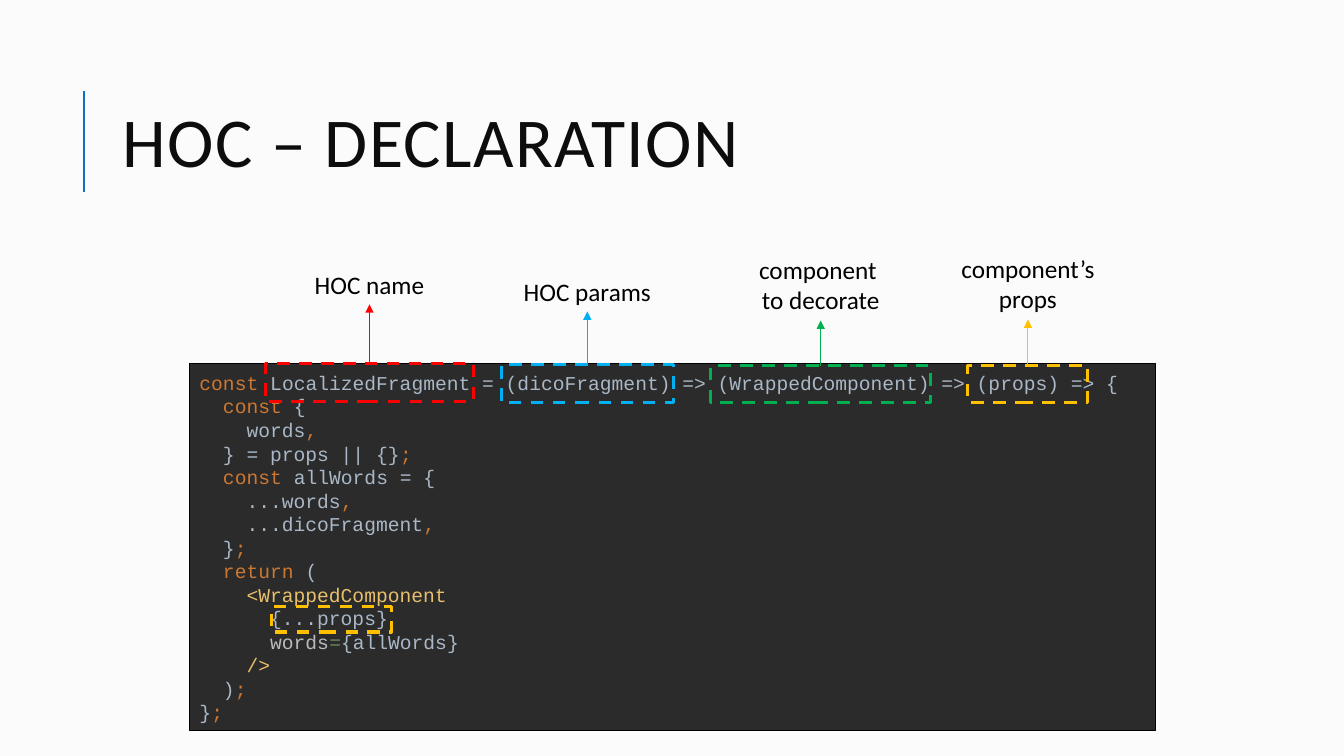
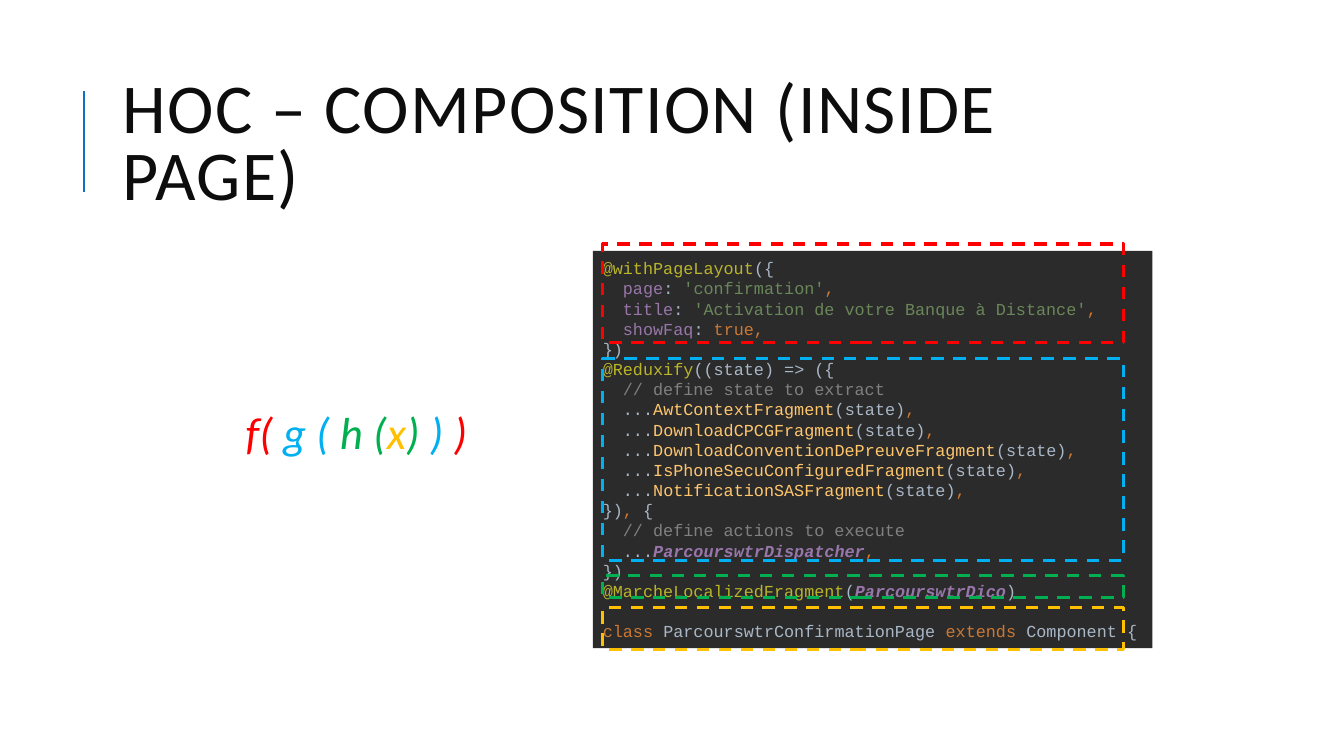
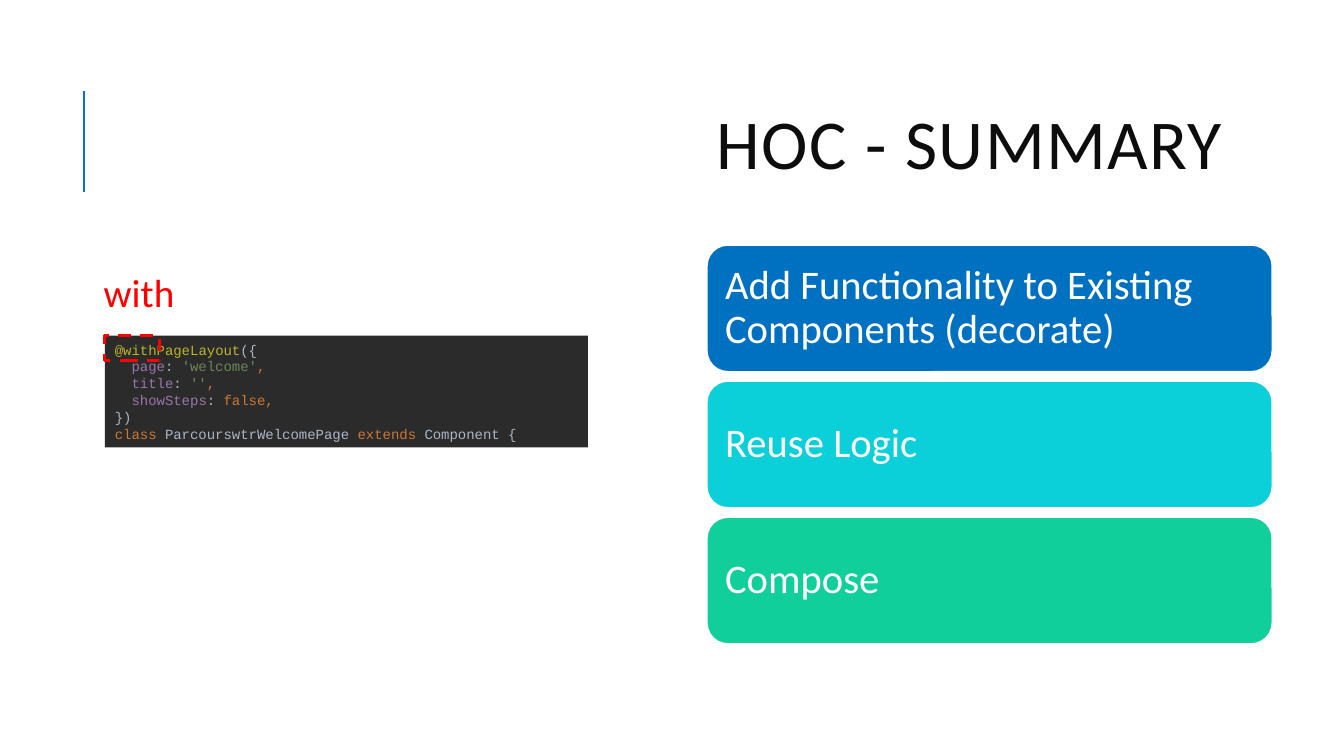
from lxml.etree import SubElement
from pptx import Presentation
from pptx.dml.color import RGBColor
from pptx.enum.dml import MSO_LINE_DASH_STYLE as Dash
from pptx.enum.shapes import MSO_CONNECTOR as Connector, MSO_SHAPE as Shape
from pptx.enum.text import MSO_ANCHOR as Anchor, PP_ALIGN as Align
from pptx.oxml.ns import qn
from pptx.util import Inches, Pt

COLOURS = {
    "paper": "FBFBFB", "white": "FFFFFF", "black": "000000",
    "title": "0D0D0D", "accent": "0F6FC6", "editor": "2B2B2B",
    "red": "FF0000", "blue": "00B0F0", "green": "00B050", "amber": "FFC000",
    "navy": "0070C0", "cyan": "0BD0D9", "mint": "10CF9B",
    "plain": "A9B7C6", "keyword": "CC7832", "tag": "E8BF6A",
    "attribute": "BABABA", "string": "6A8759", "decorator": "BBB529",
    "property": "9876AA", "comment": "808080", "function": "FFC66D",
    "constant": "9876AA",
}
TEXT_FONT, CODE_FONT = "Calibri", "Courier New"
TITLE_BOX = (1.12, 0.64, 10.63, 1.64)

DECLARATION_CODE = [
    [("keyword", "const "), ("plain", "LocalizedFragment = (dicoFragment) => "
                                      "(WrappedComponent) => (props) => {")],
    [("keyword", "  const "), ("plain", "{")],
    [("plain", "    words"), ("keyword", ",")],
    [("plain", "  } = props || {}"), ("keyword", ";")],
    [("keyword", "  const "), ("plain", "allWords = {")],
    [("plain", "    ...words"), ("keyword", ",")],
    [("plain", "    ...dicoFragment"), ("keyword", ",")],
    [("plain", "  }"), ("keyword", ";")],
    [("keyword", "  return "), ("plain", "(")],
    [("tag", "    <WrappedComponent")],
    [("plain", "      {...props}")],
    [("attribute", "      words"), ("string", "="), ("plain", "{allWords}")],
    [("tag", "    />")],
    [("plain", "  )"), ("keyword", ";")],
    [("plain", "}"), ("keyword", ";")],
]
CALLOUTS = [
    ("red", (2.63, 3.61, 2.07, 0.37), ["HOC name"], (2.62, 1.5, 0.4)),
    ("blue", (4.97, 3.62, 1.71, 0.37), ["HOC params"], (2.69, 1.75, 0.4)),
    ("green", (7.05, 3.63, 2.18, 0.36), ["component ", "to decorate"], (2.47, 3, 0.71)),
    ("amber", (9.6, 3.63, 1.19, 0.36), ["component’s props"], (2.46, 1.64, 0.71)),
]
PROPS_FRAME = (2.69, 6.02, 1.19, 0.25)


def option(name, kind, value):
    comma = [("keyword", ",")] if kind == "string" else []
    value = value if comma else value + ","
    return [("property", f"  {name}"), ("plain", ": "), (kind, value), *comma]


def class_line(name):
    return [("keyword", "class "), ("plain", f"{name} "),
            ("keyword", "extends "), ("plain", "Component {")]


FRAGMENTS = ["AwtContextFragment", "DownloadCPCGFragment",
             "DownloadConventionDePreuveFragment",
             "IsPhoneSecuConfiguredFragment", "NotificationSASFragment"]
LAYOUT_LINE = [("decorator", "@withPageLayout"), ("plain", "({")]
COMPOSITION_CODE = [
    LAYOUT_LINE,
    option("page", "string", "'confirmation'"),
    option("title", "string", "'Activation de votre Banque à Distance'"),
    option("showFaq", "keyword", "true"),
    [("plain", "})")],
    [("decorator", "@Reduxify"), ("plain", "((state) => ({")],
    [("comment", "  // define state to extract")],
    *[[("plain", "  ..."), ("function", name), ("plain", "(state)"), ("keyword", ",")]
      for name in FRAGMENTS],
    [("plain", "})"), ("keyword", ", "), ("plain", "{")],
    [("comment", "  // define actions to execute")],
    [("plain", "  ..."), ("constant", "ParcourswtrDispatcher"), ("keyword", ",")],
    [("plain", "})")],
    [("decorator", "@MarcheLocalizedFragment"), ("plain", "("),
     ("constant", "ParcourswtrDico"), ("plain", ")")],
    class_line("ParcourswtrConfirmationPage"),
]
FORMULA = [("red", "f( "), ("blue", "g ( "), ("green", "h ("), ("amber", "x"),
           ("green", ") "), ("blue", ") "), ("red", ")")]
LAYER_LEFT, LAYER_WIDTH = 5.98, 5.16
LAYERS = [("red", 2.42, 0.98), ("blue", 3.56, 2), ("green", 5.71, 0.22), ("amber", 6.03, 0.41)]

SUMMARY_CODE = [
    LAYOUT_LINE,
    option("page", "string", "'welcome'"),
    option("title", "string", "''"),
    option("showSteps", "keyword", "false"),
    [("plain", "})")],
    class_line("ParcourswtrWelcomePage"),
]
BENEFITS = [("navy", "Add Functionality to Existing Components (decorate)"),
            ("cyan", "Reuse Logic"), ("mint", "Compose")]
BENEFIT_LEFT, BENEFIT_TOP, BENEFIT_PITCH = 7.01, 2.43, 1.35
BENEFIT_WIDTH, BENEFIT_HEIGHT = 5.61, 1.26


def rgb(name):
    return RGBColor.from_string(COLOURS[name])


def inches(values):
    return [Inches(value) for value in values]


def set_font(paragraph, size, colour, name=TEXT_FONT):
    font = paragraph.font
    font.name, font.size, font.color.rgb = name, Pt(size), rgb(colour)


def add_spans(paragraph, spans):
    for colour, text in spans:
        span = paragraph.add_run()
        span.text = text
        span.font.color.rgb = rgb(colour)
        if colour == "constant":
            span.font.bold = span.font.italic = True


def add_paragraphs(frame, count):
    return [frame.paragraphs[0], *(frame.add_paragraph() for _ in range(count - 1))]


def add_text(page, place, lines, size, colour, align=Align.LEFT, wrap=True):
    box = page.shapes.add_textbox(*inches(place))
    box.text_frame.word_wrap = wrap
    for para, line in zip(add_paragraphs(box.text_frame, len(lines)), lines):
        para.text = line
        para.alignment = align
        set_font(para, size, colour)
    return box


def add_box(page, place, fill=None, line=None, width=0.75, kind=Shape.RECTANGLE):
    box = page.shapes.add_shape(kind, *inches(place))
    box.shadow.inherit = False
    if fill:
        box.fill.solid()
        box.fill.fore_color.rgb = rgb(fill)
    else:
        box.fill.background()
    if line:
        box.line.color.rgb = rgb(line)
        box.line.width = Pt(width)
    else:
        box.line.fill.background()
    return box


def add_frame(page, place, colour):
    add_box(page, place, line=colour, width=2.25).line.dash_style = Dash.DASH


def add_line(page, ends, colour, width, arrow=False):
    line = page.shapes.add_connector(Connector.STRAIGHT, *inches(ends))
    line.line.color.rgb = rgb(colour)
    line.line.width = Pt(width)
    if arrow:
        SubElement(line.line._get_or_add_ln(), qn("a:tailEnd"), type="triangle")
    SubElement(line._element.spPr, qn("a:effectLst"))


def add_code(page, place, lines, size, line=None):
    box = add_box(page, place, "editor", line)
    frame = box.text_frame
    frame.word_wrap = True
    frame.vertical_anchor = Anchor.MIDDLE
    paras = add_paragraphs(frame, len(lines))
    for para, spans in zip(paras, lines):
        para.alignment = Align.LEFT
        set_font(para, size, "plain", CODE_FONT)
        add_spans(para, spans)
    return paras


def add_page(deck, title, background="white", title_box=TITLE_BOX):
    page = deck.slides.add_slide(deck.slide_layouts[6])
    page.background.fill.solid()
    page.background.fill.fore_color.rgb = rgb(background)
    add_line(page, (0.83, 1.9, 0.83, 0.9), "accent", 1.5)
    frame = add_text(page, title_box, [title], 50, "title").text_frame
    frame.vertical_anchor = Anchor.MIDDLE
    para = frame.paragraphs[0]
    para.line_spacing = 0.8
    para.runs[0]._r.get_or_add_rPr().set("spc", "100")
    return page


def build_declaration(deck):
    page = add_page(deck, "HOC – DECLARATION", "paper")
    add_code(page, (1.88, 3.61, 9.58, 3.64), DECLARATION_CODE, 14, "black")
    for colour, place, label, (label_top, label_width, label_height) in CALLOUTS:
        left, top, width, _ = place
        centre = left + width / 2
        add_frame(page, place, colour)
        add_line(page, (centre, top, centre, label_top + label_height), colour, 0.75, True)
        add_text(page, (centre - label_width / 2, label_top, label_width, label_height),
                 label, 18, "black", Align.CENTER)
    add_frame(page, PROPS_FRAME, "amber")


def build_composition(deck):
    page = add_page(deck, "HOC – COMPOSITION (INSIDE PAGE)")
    paras = add_code(page, (5.88, 2.49, 5.55, 3.94), COMPOSITION_CODE, 12)
    paras[-1].space_before = Pt(14.4)
    for colour, top, height in LAYERS:
        add_frame(page, (LAYER_LEFT, top, LAYER_WIDTH, height), colour)
    box = add_text(page, (1.94, 3.97, 3.19, 0.64), [""], 32, "red", Align.CENTER)
    formula = box.text_frame.paragraphs[0]
    formula.font.italic = True
    add_spans(formula, FORMULA)


def build_summary(deck):
    page = add_page(deck, "HOC - SUMMARY", title_box=(7.01, 0.69, 5.61, 1.59))
    for index, (colour, text) in enumerate(BENEFITS):
        top = BENEFIT_TOP + index * BENEFIT_PITCH
        box = add_box(page, (BENEFIT_LEFT, top, BENEFIT_WIDTH, BENEFIT_HEIGHT),
                      colour, "white", 1.25, Shape.ROUNDED_RECTANGLE)
        frame = box.text_frame
        frame.word_wrap = True
        frame.vertical_anchor = Anchor.MIDDLE
        frame.margin_left = frame.margin_right = Inches(0.12)
        para = frame.paragraphs[0]
        para.text = text
        para.alignment = Align.LEFT
        para.line_spacing = 0.9
        set_font(para, 29, "white")
    add_text(page, (0.93, 2.61, 0.91, 0.57), ["with"], 28, "red", wrap=False)
    add_code(page, (1.04, 3.33, 4.79, 1.11), SUMMARY_CODE, 10)
    add_frame(page, (1.04, 3.33, 0.54, 0.25), "red")


def main():
    deck = Presentation()
    deck.slide_width, deck.slide_height = Inches(13.33), Inches(7.5)
    for build in (build_declaration, build_composition, build_summary):
        build(deck)
    deck.save("out.pptx")


if __name__ == "__main__":
    main()
